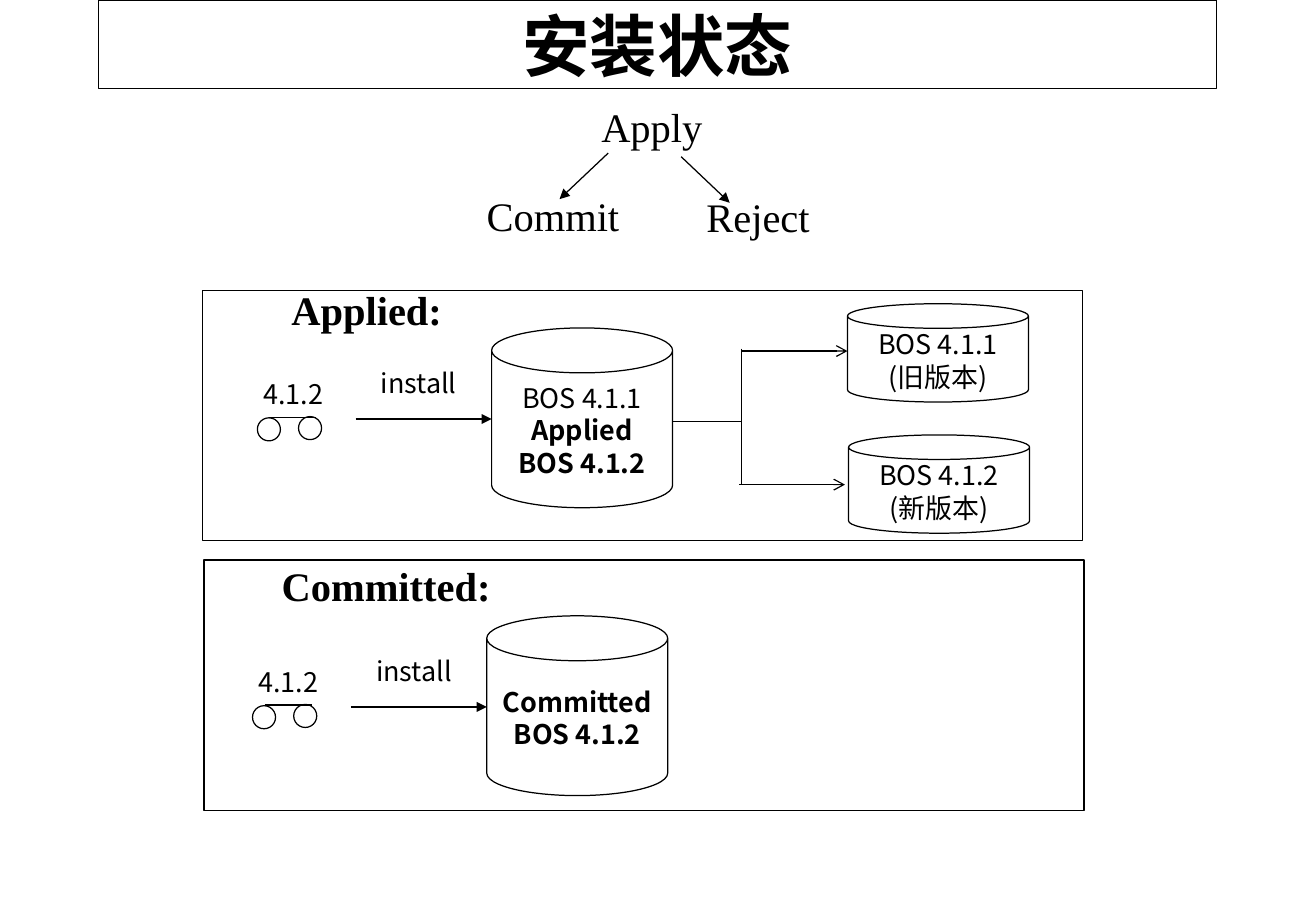
from dataclasses import dataclass

from pptx import Presentation
from pptx.dml.color import RGBColor
from pptx.enum.shapes import MSO_CONNECTOR, MSO_SHAPE
from pptx.enum.text import MSO_ANCHOR, MSO_AUTO_SIZE, PP_ALIGN
from pptx.oxml.ns import qn
from pptx.util import Inches, Pt

SLIDE_WIDTH, SLIDE_HEIGHT = Inches(10.84), Inches(7.5)
COLUMN, ROW = SLIDE_WIDTH / 100, SLIDE_HEIGHT / 100
BLACK, WHITE = "000000", "FFFFFF"
SERIF, SANS = "Times New Roman", "Noto Sans CJK SC"
CAN_WIDTH = 13.75


@dataclass
class Box:
    """A region measured in hundredths of the slide's width and height."""
    left: float
    top: float
    width: float
    height: float

    def inner(self, left, top, width, height):
        """Return a box placed relative to this one."""
        return Box(self.left + left, self.top + top, width, height)

    def point(self, column, row):
        """Return the slide position of a point inside this box."""
        return round((self.left + column) * COLUMN), round((self.top + row) * ROW)

    def place(self):
        """Return left, top, width and height in slide units."""
        return *self.point(0, 0), round(self.width * COLUMN), round(self.height * ROW)


def color(value):
    """Turn a hex string into a colour."""
    return RGBColor.from_string(value)


def outline(item):
    """Give a shape or connector the thin black line."""
    item.line.color.rgb = color(BLACK)
    item.line.width = Pt(0.75)


def write(frame, lines, size, font, spacing=None, space_before=0):
    """Fill a text frame with centred lines given as (text, bold) pairs."""
    for index, (text, bold) in enumerate(lines):
        paragraph = frame.add_paragraph() if index else frame.paragraphs[0]
        paragraph.text = text
        paragraph.alignment = PP_ALIGN.CENTER
        if spacing:
            paragraph.line_spacing = spacing
        if index:
            paragraph.space_before = Pt(space_before)
        paragraph.font.name = font
        paragraph.font.size = Pt(size)
        paragraph.font.bold = bold
        paragraph.font.color.rgb = color(BLACK)


def add_label(shapes, box, text, size=24, font=SERIF, bold=False, spacing=None):
    """Add a centred one-line label."""
    frame = shapes.add_textbox(*box.place()).text_frame
    frame.word_wrap = True
    write(frame, [(text, bold)], size, font, spacing)


def add_outline_shape(shapes, kind, box):
    """Add an unfilled shape with a thin line."""
    shape = shapes.add_shape(kind, *box.place())
    shape.shadow.inherit = False
    shape.fill.background()
    outline(shape)
    return shape


def add_can(shapes, box, lines):
    """Add a storage cylinder with centred text."""
    frame = add_outline_shape(shapes, MSO_SHAPE.CAN, box).text_frame
    frame.word_wrap = False
    frame.vertical_anchor = MSO_ANCHOR.MIDDLE
    frame.margin_bottom = 0
    write(frame, lines, 16, SANS, spacing=0.9, space_before=2)


def add_line(shapes, box, start, end, arrowhead=None):
    """Draw a straight line between two points of a box."""
    connector = shapes.add_connector(
        MSO_CONNECTOR.STRAIGHT, *box.point(*start), *box.point(*end))
    outline(connector)
    if arrowhead:
        tail = connector.line._get_or_add_ln().makeelement(qn("a:tailEnd"), {"type": arrowhead})
        connector.line._get_or_add_ln().append(tail)
    properties = connector._element.spPr
    properties.append(properties.makeelement(qn("a:effectLst"), {}))


def add_title(slide, box):
    """Format the title placeholder as a framed heading."""
    title = slide.shapes.title
    title.left, title.top, title.width, title.height = box.place()
    title.fill.solid()
    title.fill.fore_color.rgb = color(WHITE)
    outline(title)
    frame = title.text_frame
    frame.auto_size = MSO_AUTO_SIZE.NONE
    frame.vertical_anchor = MSO_ANCHOR.MIDDLE
    write(frame, [("安装状态", True)], 40, SERIF)


def add_choices(shapes, box):
    """Show that Apply leads to Commit or Reject."""
    add_label(shapes, box.inner(8.39, 0, 11.25, 6.67), "Apply")
    add_label(shapes, box.inner(0, 9.73, 13, 6.67), "Commit")
    add_label(shapes, box.inner(15.59, 9.87, 13, 6.67), "Reject")
    add_line(shapes, box, (10.7, 6.27), (7, 11.33), "triangle")
    add_line(shapes, box, (16.24, 6.67), (19.93, 11.73), "triangle")


def add_install(shapes, box, can_lines):
    """Show the tape, the install arrow and the target system."""
    tape = shapes.add_group_shape().shapes
    for left, top in ((1.11, 9.87), (4.24, 9.73)):
        add_outline_shape(tape, MSO_SHAPE.OVAL, box.inner(left, top, 1.75, 2.53))
    add_line(tape, box, (2.03, 9.8), (5.6, 9.8))
    add_label(shapes, box.inner(0, 5.2, 7.66, 4.53), "4.1.2", 16, SANS, spacing=0.9)
    add_label(shapes, box.inner(8.3, 4, 10.15, 4.53), "install", 16, SANS, spacing=0.9)
    can_left = box.width - CAN_WIDTH
    add_line(shapes, box, (8.58, 10), (can_left, 10), "triangle")
    add_can(shapes, box.inner(can_left, 0, CAN_WIDTH, box.height), can_lines)


def add_versions(shapes, box):
    """Branch from the installed system to the old and new versions."""
    spine = 5.26
    add_line(shapes, box, (0, 12.93), (spine, 12.93))
    add_line(shapes, box, (spine, 4.93), (spine, 19.86))
    add_line(shapes, box, (spine, 5.2), (13.29, 5.2), "arrow")
    add_line(shapes, box, (5.07, 19.86), (13.1, 19.86), "arrow")
    for left, top, version, note in (
            (13.29, 0, "BOS 4.1.1", "(旧版本)"),
            (13.38, 14.4, "BOS 4.1.2", "(新版本)")):
        add_can(shapes, box.inner(left, top, CAN_WIDTH, 10.8),
                [(version, False), (note, False)])


def add_panel(shapes, box, heading, heading_box, flow_start, can_lines):
    """Frame one installation state with its heading and install flow."""
    add_outline_shape(shapes, MSO_SHAPE.RECTANGLE, box)
    add_label(shapes, box.inner(*heading_box), heading, bold=True)
    add_install(shapes, box.inner(*flow_start, 32.66, 19.73), can_lines)


def main():
    """Build the slide and save it."""
    presentation = Presentation()
    presentation.slide_width, presentation.slide_height = SLIDE_WIDTH, SLIDE_HEIGHT
    slide = presentation.slides.add_slide(presentation.slide_layouts[5])
    shapes = slide.shapes
    add_title(slide, Box(7.47, 0, 84.96, 9.73))
    add_choices(shapes, Box(35.52, 10.53, 28.6, 16.54))
    applied = Box(15.41, 31.87, 66.88, 27.47)
    add_panel(shapes, applied, "Applied:", (5.17, -1.2, 14.58, 6.67), (3.04, 4.13),
              [("BOS 4.1.1", False), ("Applied", True), ("BOS 4.1.2", True)])
    add_versions(shapes, applied.inner(35.7, 1.47, 27.13, 25.2))
    add_panel(shapes, Box(15.5, 61.47, 66.88, 27.47), "Committed:",
              (4.43, -0.53, 18.82, 6.67), (2.58, 6.13),
              [("Committed", True), ("BOS 4.1.2", True)])
    presentation.save("out.pptx")


if __name__ == "__main__":
    main()
